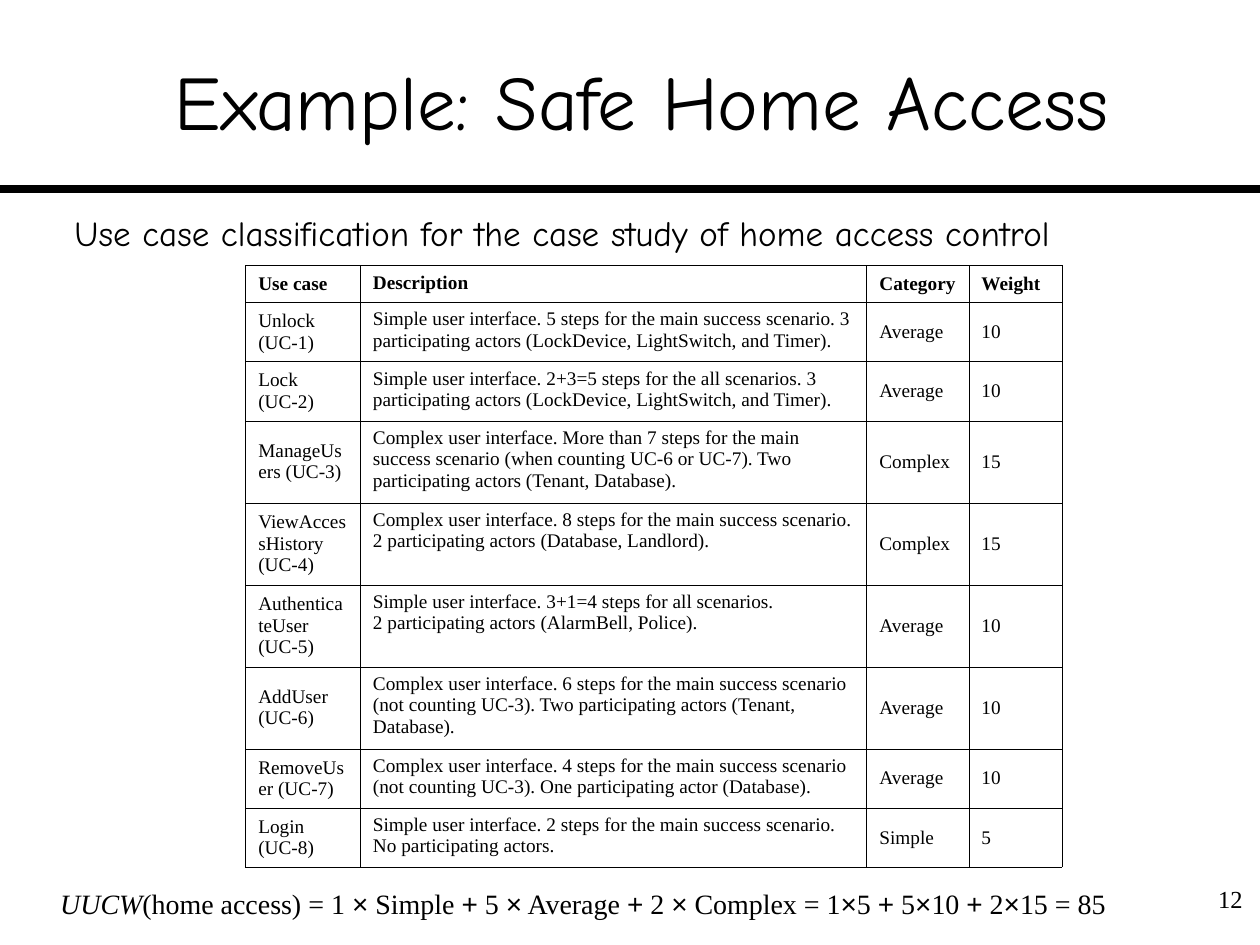
import dataclasses
import itertools
import typing

import pptx
import pptx.dml.color
import pptx.enum.shapes
import pptx.enum.text
import pptx.oxml
import pptx.oxml.ns
import pptx.util

Align = pptx.enum.text.PP_ALIGN
Anchor = pptx.enum.text.MSO_ANCHOR

SLIDE_WIDTH = pptx.util.Inches(10)
SLIDE_HEIGHT = pptx.util.Inches(7.5)
GRID_COLUMNS, GRID_ROWS = 1000, 750


@dataclasses.dataclass(frozen=True)
class Theme:
    ink: str = "000000"
    heading_font: str = "Comic Neue"
    body_font: str = "Times New Roman"
    symbol_font: str = "Arial"
    title_size: float = 44
    subtitle_size: float = 20
    formula_size: float = 16
    number_size: float = 14
    table_size: float = 11
    rule_width: float = 4.5
    frame_width: float = 0.45
    header_line_width: float = 0.96
    row_line_width: float = 0.06


class Area(typing.NamedTuple):
    """A place on the slide, in grid columns and rows."""
    left: int
    top: int
    width: int
    height: int


class UseCase(typing.NamedTuple):
    name: str
    description: str
    category: str
    weight: str


THEME = Theme()
TITLE_AREA = Area(35, 17, 949, 125)
SUBTITLE_AREA = Area(59, 168, 785, 33)
TABLE_AREA = Area(195, 211, 648, 477)
FORMULA_AREA = Area(38, 699, 880, 37)
NUMBER_AREA = Area(945, 697, 51, 50)
RULE_ROW = 150
TABLE_COLUMNS = (91, 402, 81, 74)
TABLE_ROWS = (29, 47, 47, 65, 65, 65, 65, 47, 47)

HEADER = UseCase("Use case", "Description", "Category", "Weight")
USE_CASES = (
    UseCase("Unlock (UC‑1)", "Simple user interface. 5 steps for the main success scenario. "
            "3 participating actors (LockDevice, LightSwitch, and Timer).", "Average", "10"),
    UseCase("Lock (UC‑2)", "Simple user interface. 2+3=5 steps for the all scenarios. "
            "3 participating actors (LockDevice, LightSwitch, and Timer).", "Average", "10"),
    UseCase("ManageUsers (UC‑3)", "Complex user interface. More than 7 steps for the main "
            "success scenario (when counting UC‑6 or UC‑7). "
            "Two participating actors (Tenant, Database).", "Complex", "15"),
    UseCase("ViewAccessHistory (UC‑4)", "Complex user interface. 8 steps for the main success "
            "scenario. 2 participating actors (Database, Landlord).", "Complex", "15"),
    UseCase("AuthenticateUser (UC‑5)", "Simple user interface. 3+1=4 steps for all scenarios. \v"
            "2 participating actors (AlarmBell, Police).", "Average", "10"),
    UseCase("AddUser (UC‑6)", "Complex user interface. 6 steps for the main success scenario "
            "(not counting UC‑3). Two participating actors (Tenant, Database).", "Average", "10"),
    UseCase("RemoveUser (UC‑7)", "Complex user interface. 4 steps for the main success scenario "
            "(not counting UC‑3). One participating actor (Database).", "Average", "10"),
    UseCase("Login (UC‑8)", "Simple user interface. 2 steps for the main success scenario. "
            "No participating actors.", "Simple", "5"),
)
FORMULA_SUBJECT = "UUCW"
FORMULA = "(home access) = 1 × Simple + 5 × Average + 2 × Complex = 1×5 + 5×10 + 2×15 = 85"


def across(columns: int) -> int:
    return int(SLIDE_WIDTH * columns / GRID_COLUMNS)


def down(rows: int) -> int:
    return int(SLIDE_HEIGHT * rows / GRID_ROWS)


def place(area: Area) -> tuple[int, int, int, int]:
    return across(area.left), down(area.top), across(area.width), down(area.height)


def format_span(span, font: str, size: float, bold: bool = False, italic: bool = False) -> None:
    span.font.name = font
    span.font.size = pptx.util.Pt(size)
    span.font.bold = bold
    span.font.italic = italic
    span.font.color.rgb = pptx.dml.color.RGBColor.from_string(THEME.ink)


def write(frame, text: str, font: str, size: float, bold: bool = False,
          align: Align = Align.LEFT) -> None:
    frame.text = text
    for para in frame.paragraphs:
        para.alignment = align
        for span in para.runs:
            format_span(span, font, size, bold)


def add_title(page, text: str) -> None:
    title = page.shapes.title
    title.left, title.top, title.width, title.height = place(TITLE_AREA)
    title.text_frame.vertical_anchor = Anchor.MIDDLE
    write(title.text_frame, text, THEME.heading_font, THEME.title_size, align=Align.CENTER)


def add_rule(page) -> None:
    rule = page.shapes.add_connector(pptx.enum.shapes.MSO_CONNECTOR.STRAIGHT,
                                     0, down(RULE_ROW), SLIDE_WIDTH, down(RULE_ROW))
    rule.line.width = pptx.util.Pt(THEME.rule_width)
    rule.line.color.rgb = pptx.dml.color.RGBColor.from_string(THEME.ink)
    rule._element.spPr.append(pptx.oxml.parse_xml(
        f"<a:effectLst {pptx.oxml.ns.nsdecls('a')}/>"))


def add_box(page, area: Area, wrap: bool):
    box = page.shapes.add_textbox(*place(area))
    box.text_frame.word_wrap = wrap
    return box


def add_subtitle(page, text: str) -> None:
    frame = add_box(page, SUBTITLE_AREA, wrap=False).text_frame
    frame.margin_left = frame.margin_right = frame.margin_top = frame.margin_bottom = 0
    frame.vertical_anchor = Anchor.MIDDLE
    write(frame, text, THEME.heading_font, THEME.subtitle_size)


def add_formula(page) -> None:
    """Write the formula with its operators in the symbol font."""
    para = add_box(page, FORMULA_AREA, wrap=False).text_frame.paragraphs[0]
    para.text = FORMULA_SUBJECT
    format_span(para.runs[0], THEME.body_font, THEME.formula_size, italic=True)
    for is_operator, letters in itertools.groupby(FORMULA, lambda letter: letter in "×+"):
        span = para.add_run()
        span.text = "".join(letters)
        font = THEME.symbol_font if is_operator else THEME.body_font
        format_span(span, font, THEME.formula_size)


def row_line(index: int) -> float:
    """Width of the horizontal line above the row with this index."""
    if index in (0, len(TABLE_ROWS)):
        return THEME.frame_width
    return THEME.header_line_width if index == 1 else THEME.row_line_width


def set_borders(cell, row: int) -> None:
    widths = {"lnL": THEME.frame_width, "lnR": THEME.frame_width,
              "lnT": row_line(row), "lnB": row_line(row + 1)}
    properties = cell._tc.get_or_add_tcPr()
    for tag, width in widths.items():
        properties.append(pptx.oxml.parse_xml(
            f'<a:{tag} {pptx.oxml.ns.nsdecls("a")} w="{pptx.util.Pt(width)}"><a:solidFill>'
            f'<a:srgbClr val="{THEME.ink}"/></a:solidFill></a:{tag}>'))


def add_use_case_table(page) -> None:
    table = page.shapes.add_table(len(TABLE_ROWS), len(TABLE_COLUMNS), *place(TABLE_AREA)).table
    table.first_row = table.horz_banding = False
    for column, width in zip(table.columns, TABLE_COLUMNS):
        column.width = across(width)
    for row, height in zip(table.rows, TABLE_ROWS):
        row.height = down(height)
    for row, use_case in enumerate((HEADER, *USE_CASES)):
        for column, (field, text) in enumerate(use_case._asdict().items()):
            cell = table.cell(row, column)
            write(cell.text_frame, text, THEME.body_font, THEME.table_size, bold=row == 0)
            cell.vertical_anchor = Anchor.TOP if field == "description" else Anchor.MIDDLE
            set_borders(cell, row)
            cell.fill.background()


def main() -> None:
    deck = pptx.Presentation()
    deck.slide_width, deck.slide_height = SLIDE_WIDTH, SLIDE_HEIGHT
    page = deck.slides.add_slide(deck.slide_layouts.get_by_name("Title Only"))
    add_rule(page)
    number = add_box(page, NUMBER_AREA, wrap=True)
    write(number.text_frame, "12", THEME.body_font, THEME.number_size, align=Align.RIGHT)
    add_title(page, "Example: Safe Home Access")
    add_use_case_table(page)
    add_subtitle(page, "Use case classification for the case study of home access control")
    add_formula(page)
    deck.save("out.pptx")


if __name__ == "__main__":
    main()
